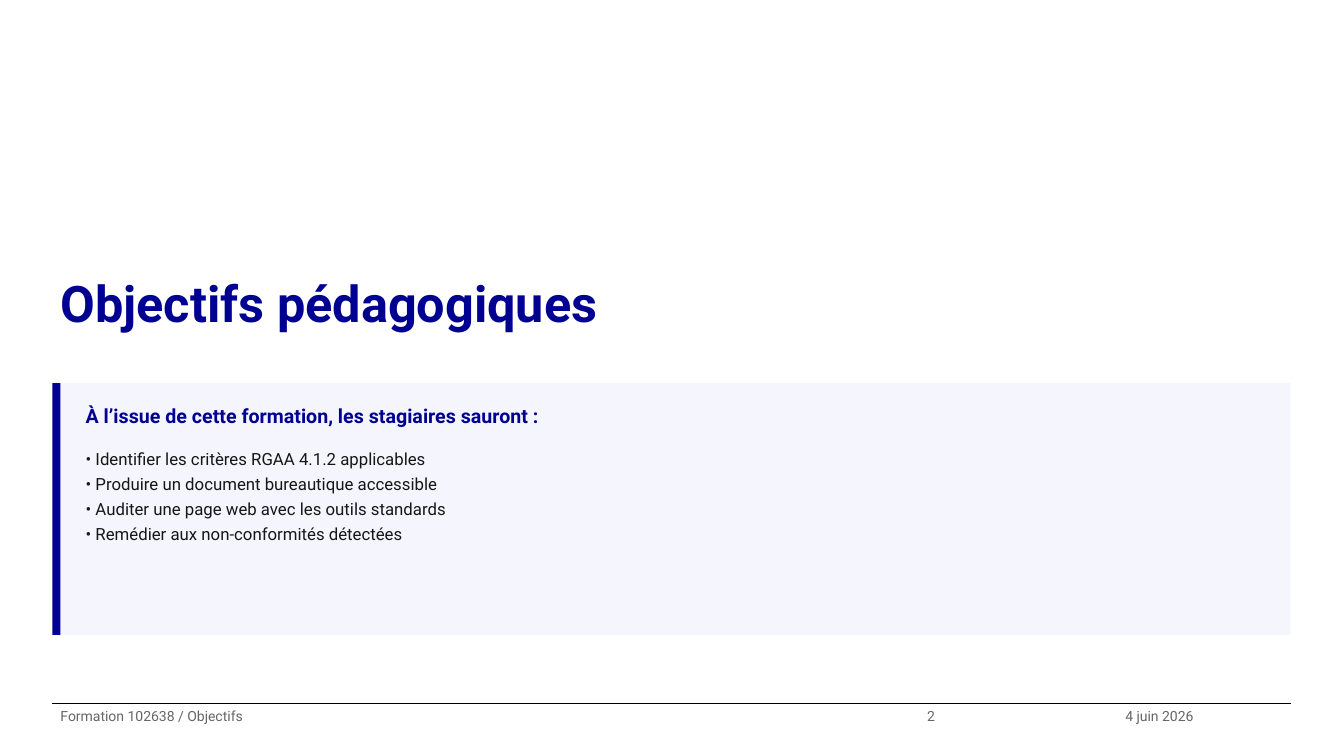
from dataclasses import dataclass

from lxml import etree
from pptx import Presentation
from pptx import util as u
from pptx.dml.color import RGBColor
from pptx.enum import shapes, text
from pptx.oxml.ns import qn


@dataclass(frozen=True)
class Theme:
    font: str = "Roboto"
    accent: str = "000091"
    panel: str = "F5F5FE"
    body: str = "161616"
    muted: str = "666666"
    rule: str = "000000"
    title_size: int = 36
    heading_size: int = 14
    body_size: int = 12
    footer_size: int = 10
    line_spacing: float = 1.25


THEME = Theme()
WIDTH, HEIGHT = 13.33, 7.5
MARGIN = 0.52
CONTENT_WIDTH = 12.28
BAR_WIDTH = 0.08

OBJECTIVES = [
    "• Identifier les critères RGAA 4.1.2 applicables",
    "• Produire un document bureautique accessible",
    "• Auditer une page web avec les outils standards",
    "• Remédier aux non-conformités détectées",
]


def inches(*lengths):
    return [u.Inches(length) for length in lengths]


def write(shape, lines, size, color, bold=False, inset=0.05):
    """Fill a text shape with evenly styled paragraphs."""
    frame = shape.text_frame
    frame.word_wrap = True
    frame.auto_size = text.MSO_AUTO_SIZE.NONE
    frame.vertical_anchor = text.MSO_ANCHOR.TOP
    frame.margin_left = frame.margin_right = u.Inches(0.08)
    frame.margin_top = frame.margin_bottom = u.Inches(inset)
    frame.text = "\n".join(lines)
    for paragraph in frame.paragraphs:
        paragraph.alignment = text.PP_ALIGN.LEFT
        paragraph.line_spacing = THEME.line_spacing
        paragraph.space_before = u.Pt(0)
        paragraph.font.name = THEME.font
        paragraph.font.size = u.Pt(size)
        paragraph.font.bold = bold
        paragraph.font.color.rgb = RGBColor.from_string(color)


def add_text(slide, box, lines, size, color, **style):
    write(slide.shapes.add_textbox(*inches(*box)), lines, size, color, **style)


def add_block(slide, box, color):
    block = slide.shapes.add_shape(shapes.MSO_SHAPE.RECTANGLE, *inches(*box))
    block.shadow.inherit = False
    block.fill.solid()
    block.fill.fore_color.rgb = RGBColor.from_string(color)
    block.line.fill.background()


def place_title(slide, box, wording):
    title = slide.shapes.title
    title.left, title.top, title.width, title.height = inches(*box)
    write(title, [wording], THEME.title_size, THEME.accent, bold=True)


def add_objectives(slide, box, heading, objectives):
    left, top, width, height = box
    # Panel with its accent bar
    add_block(slide, (left + BAR_WIDTH, top, width - BAR_WIDTH, height), THEME.panel)
    add_block(slide, (left, top, BAR_WIDTH, height), THEME.accent)

    # Heading above the list, both on the same inner column
    pad, heading_height, list_offset = 0.1, 0.4, 0.55
    inner_left = left + 0.25
    inner_width = width - 0.25 - pad
    add_text(slide, (inner_left, top + pad, inner_width, heading_height),
             [heading], THEME.heading_size, THEME.accent, bold=True)
    add_text(slide, (inner_left, top + list_offset, inner_width,
                     height - list_offset - pad),
             objectives, THEME.body_size, THEME.body)


def add_footer(slide, box, entries):
    left, top, width, height = box
    # Rule across the top of the footer
    rule = slide.shapes.add_connector(
        shapes.MSO_CONNECTOR.STRAIGHT, *inches(left, top, left + width, top))
    rule.line.color.rgb = RGBColor.from_string(THEME.rule)
    rule.line.width = u.Pt(0.8)
    etree.SubElement(rule._element.spPr, qn("a:effectLst"))

    # Entries in columns given as shares of the footer width
    for wording, share in entries:
        add_text(slide, (left, top, width * share, height), [wording],
                 THEME.footer_size, THEME.muted, inset=0)
        left += width * share


def main():
    presentation = Presentation()
    presentation.slide_width, presentation.slide_height = inches(WIDTH, HEIGHT)
    slide = presentation.slides.add_slide(presentation.slide_layouts[5])

    place_title(slide, (MARGIN, 2.5, CONTENT_WIDTH, 1.1), "Objectifs pédagogiques")
    add_objectives(slide, (MARGIN, 3.8, CONTENT_WIDTH, 2.5),
                   "À l’issue de cette formation, les stagiaires sauront :",
                   OBJECTIVES)
    add_footer(slide, (MARGIN, 6.98, CONTENT_WIDTH, HEIGHT - 6.98),
               [("Formation 102638 / Objectifs", 0.7),
                ("2", 0.16),
                ("4 juin 2026", 0.14)])

    presentation.save("out.pptx")


if __name__ == "__main__":
    main()
